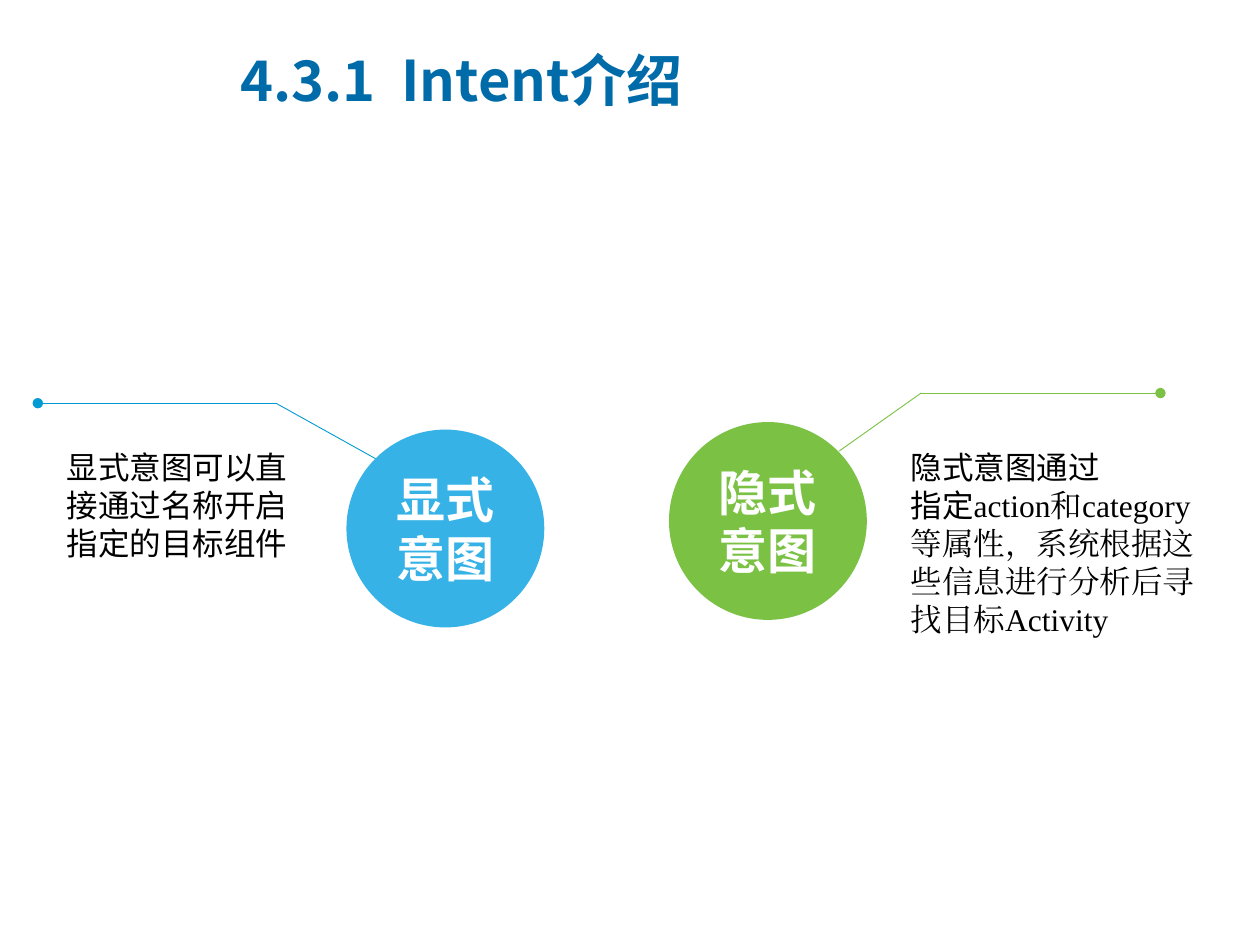
from dataclasses import dataclass

import pptx
import pptx.dml.color
import pptx.enum.shapes
import pptx.enum.text
import pptx.oxml
import pptx.oxml.ns
import pptx.util
from pptx.util import Inches

Shape = pptx.enum.shapes.MSO_SHAPE
Align = pptx.enum.text.PP_ALIGN
Anchor = pptx.enum.text.MSO_ANCHOR
Run = tuple[str, str]  # wording, font

SANS, SERIF, HEAD = "Arial", "Times New Roman", "Noto Sans CJK SC"
SIZE = 1.57


@dataclass
class Intent:
    name: list[str]
    left: float
    top: float
    fill: str
    line: str
    bend: tuple[float, float]
    dot: float  # x of the leader's far end
    rim: tuple[float, float]
    box: tuple[float, float, float, float]
    note: list[list[Run]]


INTENTS = [
    Intent(["显式", "意图"], 2.75, 3.41, "36B2E6", "009BD2",
           (2.19, 3.2), 0.3, (2.98, 3.64), (0.43, 3.51, 1.97, 1.01),
           [[("显式意图可以直接通过名称开启指定的目标组件", SANS)]]),
    Intent(["隐式", "意图"], 5.31, 3.35, "7BC143", "7BC143",
           (7.31, 3.12), 9.21, (6.66, 3.58), (7.13, 3.51, 2.47, 1.62),
           [[("隐式意图通过", SANS)],
            [("指定", SANS),
             ("action和category等属性，系统根据这些信息进行分析后寻找目标Activity", SERIF)]]),
]


def color(code: str) -> pptx.dml.color.RGBColor:
    return pptx.dml.color.RGBColor.from_string(code)


def node(tag: str, **attrs: str):
    item = pptx.oxml.parse_xml(f"<a:{tag} {pptx.oxml.ns.nsdecls('a')}/>")
    for key, value in attrs.items():
        item.set(key, value)
    return item


def write(shape, paras: list[list[Run]], *, size: int, ink: str = "000000",
          bold: bool = False, align=Align.LEFT, anchor=Anchor.TOP) -> None:
    frame = shape.text_frame
    frame.word_wrap = True
    frame.vertical_anchor = anchor
    for i, runs in enumerate(paras):
        para = frame.paragraphs[0] if i == 0 else frame.add_paragraph()
        para.alignment = align
        for text, face in runs:
            run = para.add_run()
            run.text = text
            font = run.font
            font.name, font.size, font.bold = face, pptx.util.Pt(size), bold
            font.color.rgb = color(ink)
            # East Asian glyphs follow the same face
            run._r.rPr.find(pptx.oxml.ns.qn("a:latin")).addnext(
                node("ea", typeface=face))


def add_box(slide, box: tuple[float, float, float, float]):
    return slide.shapes.add_textbox(*map(Inches, box))


def add_line(slide, start: tuple[float, float], end: tuple[float, float],
             ink: str, dot: bool = False) -> None:
    wire = slide.shapes.add_connector(
        pptx.enum.shapes.MSO_CONNECTOR.STRAIGHT,
        *map(Inches, (*start, *end)))
    wire.line.color.rgb = color(ink)
    wire.line.width = pptx.util.Pt(0.5)
    if dot:
        wire.line._get_or_add_ln().append(node("tailEnd", type="oval"))
    wire._element.spPr.append(node("effectLst"))


def add_intent(slide, item: Intent) -> None:
    # Named circle
    disc = slide.shapes.add_shape(
        Shape.FLOWCHART_CONNECTOR,
        *map(Inches, (item.left, item.top, SIZE, SIZE)))
    disc.shadow.inherit = False
    disc.fill.solid()
    disc.fill.fore_color.rgb = color(item.fill)
    disc.line.fill.background()
    write(disc, [[(part, SANS)] for part in item.name], size=28,
          ink="FFFFFF", bold=True, align=Align.CENTER, anchor=Anchor.MIDDLE)

    # Bent leader with a dot at its far end
    add_line(slide, item.bend, (item.dot, item.bend[1]), item.line, dot=True)
    add_line(slide, item.bend, item.rim, item.line)

    # Explanation
    write(add_box(slide, item.box), item.note, size=18)


def main() -> None:
    deck = pptx.Presentation()
    deck.slide_width, deck.slide_height = Inches(10), Inches(7.5)
    slide = deck.slides.add_slide(deck.slide_layouts[6])

    for item in INTENTS:
        add_intent(slide, item)

    # Title
    write(add_box(slide, (1.81, 0.21, 5.63, 0.84)),
          [[("4.3.1  Intent介绍", HEAD)]], size=32, ink="006BA9",
          bold=True, anchor=Anchor.MIDDLE)
    deck.save("out.pptx")


if __name__ == "__main__":
    main()
